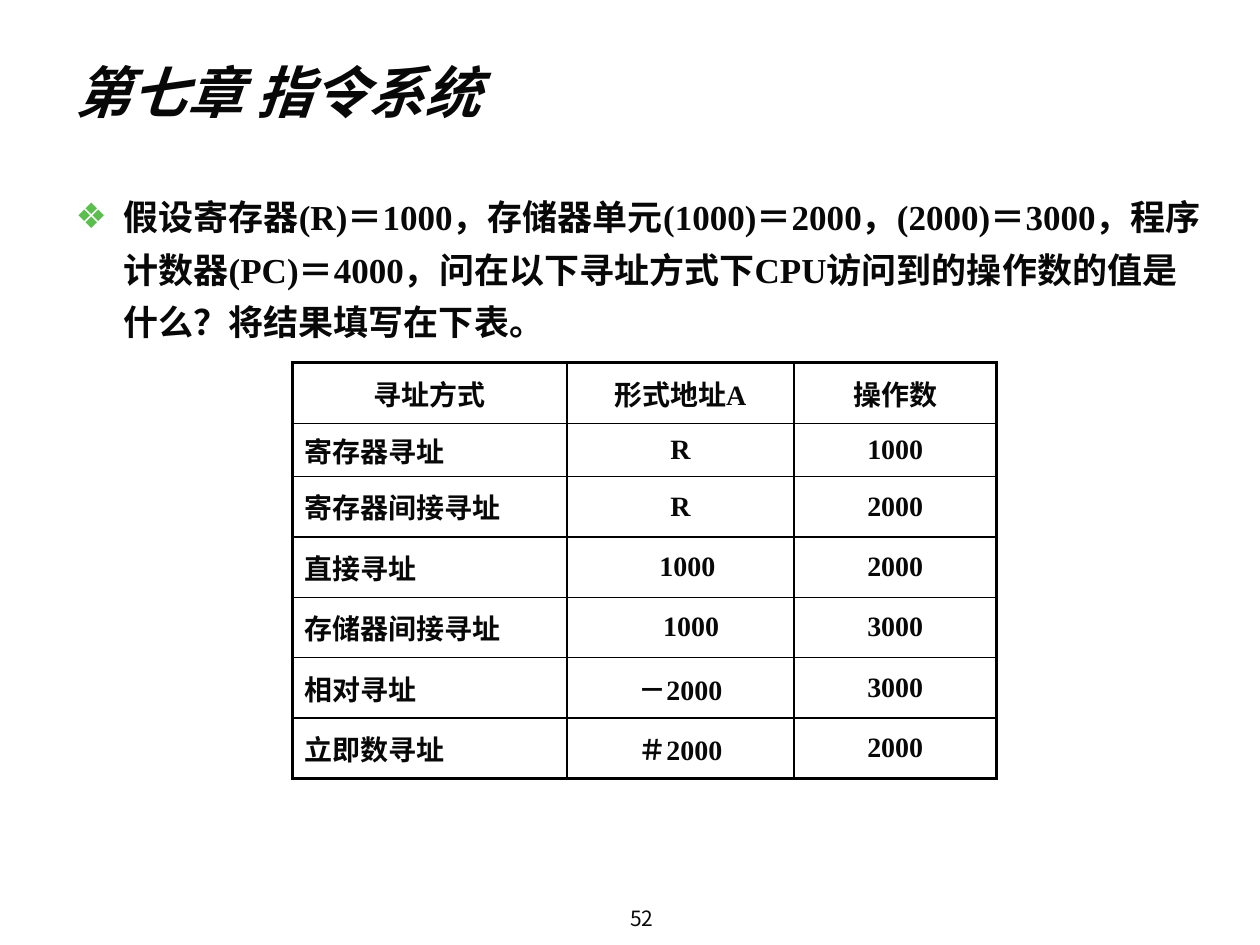
from lxml.etree import SubElement
from pptx import Presentation
from pptx.dml.color import RGBColor
from pptx.enum.lang import MSO_LANGUAGE_ID as Lang
from pptx.enum.text import MSO_ANCHOR as Anchor, MSO_AUTO_SIZE as AutoSize, PP_ALIGN as Align
from pptx.oxml import parse_xml
from pptx.oxml.ns import nsdecls, qn
from pptx.util import Inches, Pt

COLORS = {"text": "080808", "bullet": "5BBE4E", "border": "000000"}
CJK = "Noto Sans CJK SC"
LATIN = "Times New Roman"

TITLE = "第七章 指令系统"
QUESTION = (
    "假设寄存器(R)＝1000，存储器单元(1000)＝2000，(2000)＝3000，"
    "程序计数器(PC)＝4000，问在以下寻址方式下CPU访问到的操作数的值是什么？"
    "将结果填写在下表。"
)
ADDRESSING = [
    ("寻址方式", "形式地址A", "操作数"),
    ("寄存器寻址", "R", "1000"),
    ("寄存器间接寻址", "R", "2000"),
    ("直接寻址", "1000", "2000"),
    ("存储器间接寻址", "1000", "3000"),
    ("相对寻址", "－2000", "3000"),
    ("立即数寻址", "＃2000", "2000"),
]
COLUMN_WIDTHS = [2.18, 1.8, 1.61]
ROW_HEIGHTS = [0.48, 0.42] + [0.48] * 5
# Extra left margin that nudges a centred value to the right: (row, column) -> inches
NUDGES = {(3, 1): 0.11, (4, 1): 0.17}


class SlideBuilder:
    def __init__(self, slide):
        self.slide = slide

    def add_text(self, frame, text, size, font=LATIN, align=Align.LEFT, **formats):
        frame.word_wrap = True
        paragraph = frame.paragraphs[0]
        paragraph.alignment = align
        run = paragraph.add_run()
        run.text = text
        run.font.color.rgb = RGBColor.from_string(COLORS["text"])
        values = {"size": Pt(size), "name": font,
                  "language_id": Lang.SIMPLIFIED_CHINESE, **formats}
        for name, value in values.items():
            setattr(run.font, name, value)
        SubElement(run.font._element, qn("a:ea"), typeface=CJK)
        return paragraph

    def place(self, shape, left, top, width, height, anchor):
        box = {"left": left, "top": top, "width": width, "height": height}
        for name, value in box.items():
            setattr(shape, name, Inches(value))
        shape.text_frame.auto_size = AutoSize.NONE
        shape.text_frame.vertical_anchor = anchor
        return shape.text_frame

    def title(self, text):
        frame = self.place(self.slide.shapes.title, 0.5, 0.25, 9, 0.95, Anchor.MIDDLE)
        self.add_text(frame, text, 32, CJK, bold=True, italic=True)

    def bullet(self, text):
        frame = self.place(self.slide.placeholders[1], 0.5, 1.42, 9.15, 5.5, Anchor.TOP)
        paragraph = self.add_text(frame, text, 20, bold=True)
        paragraph.line_spacing = 1.25
        paragraph.space_before = Pt(6)
        properties = paragraph._p.get_or_add_pPr()
        properties.set("marL", str(Inches(0.38)))
        properties.set("indent", str(-Inches(0.38)))
        color = SubElement(properties, qn("a:buClr"))
        SubElement(color, qn("a:srgbClr"), val=COLORS["bullet"])
        SubElement(properties, qn("a:buChar"), char="❖")

    def page_number(self, text):
        box = self.slide.shapes.add_textbox(0, 0, 0, 0)
        frame = self.place(box, 3.51, 7.15, 3.17, 0.27, Anchor.MIDDLE)
        for side in ("left", "top", "right", "bottom"):
            setattr(frame, f"margin_{side}", 0)
        self.add_text(frame, text, 12, CJK, Align.CENTER)

    def borders(self, cell, widths):
        """Draw the cell's edges; widths maps L, R, T, B to points."""
        properties = cell._tc.get_or_add_tcPr()
        for position, (side, width) in enumerate(widths.items()):
            properties.insert(position, parse_xml(
                f'<a:ln{side} {nsdecls("a")} w="{Pt(width)}"><a:solidFill>'
                f'<a:srgbClr val="{COLORS["border"]}"/></a:solidFill></a:ln{side}>'))

    def table(self, rows, left, top, widths, heights):
        frame = self.slide.shapes.add_table(
            len(rows), len(widths), Inches(left), Inches(top),
            Inches(sum(widths)), Inches(sum(heights)))
        table = frame.table
        table.first_row = table.horz_banding = False
        for column, width in zip(table.columns, widths):
            column.width = Inches(width)
        for row, height in zip(table.rows, heights):
            row.height = Inches(height)
        last_row, last_column = len(rows) - 1, len(widths) - 1
        for r, values in enumerate(rows):
            for c, value in enumerate(values):
                cell = table.cell(r, c)
                cell.fill.background()
                cell.vertical_anchor = Anchor.MIDDLE
                cell.margin_left = Inches(0.1 + NUDGES.get((r, c), 0))
                is_label = c == 0 and r > 0
                self.add_text(cell.text_frame, value, 16, bold=True,
                              align=Align.LEFT if is_label else Align.CENTER)
                outer = {"L": c == 0, "R": c == last_column,
                         "T": r == 0, "B": r == last_row}
                self.borders(cell, {side: 2 if edge else 1
                                    for side, edge in outer.items()})


def main():
    presentation = Presentation()
    presentation.slide_width = Inches(10)
    presentation.slide_height = Inches(7.5)
    builder = SlideBuilder(presentation.slides.add_slide(presentation.slide_layouts[1]))
    builder.page_number("52")
    builder.title(TITLE)
    builder.bullet(QUESTION)
    builder.table(ADDRESSING, 2.32, 2.88, COLUMN_WIDTHS, ROW_HEIGHTS)
    presentation.save("out.pptx")


if __name__ == "__main__":
    main()
